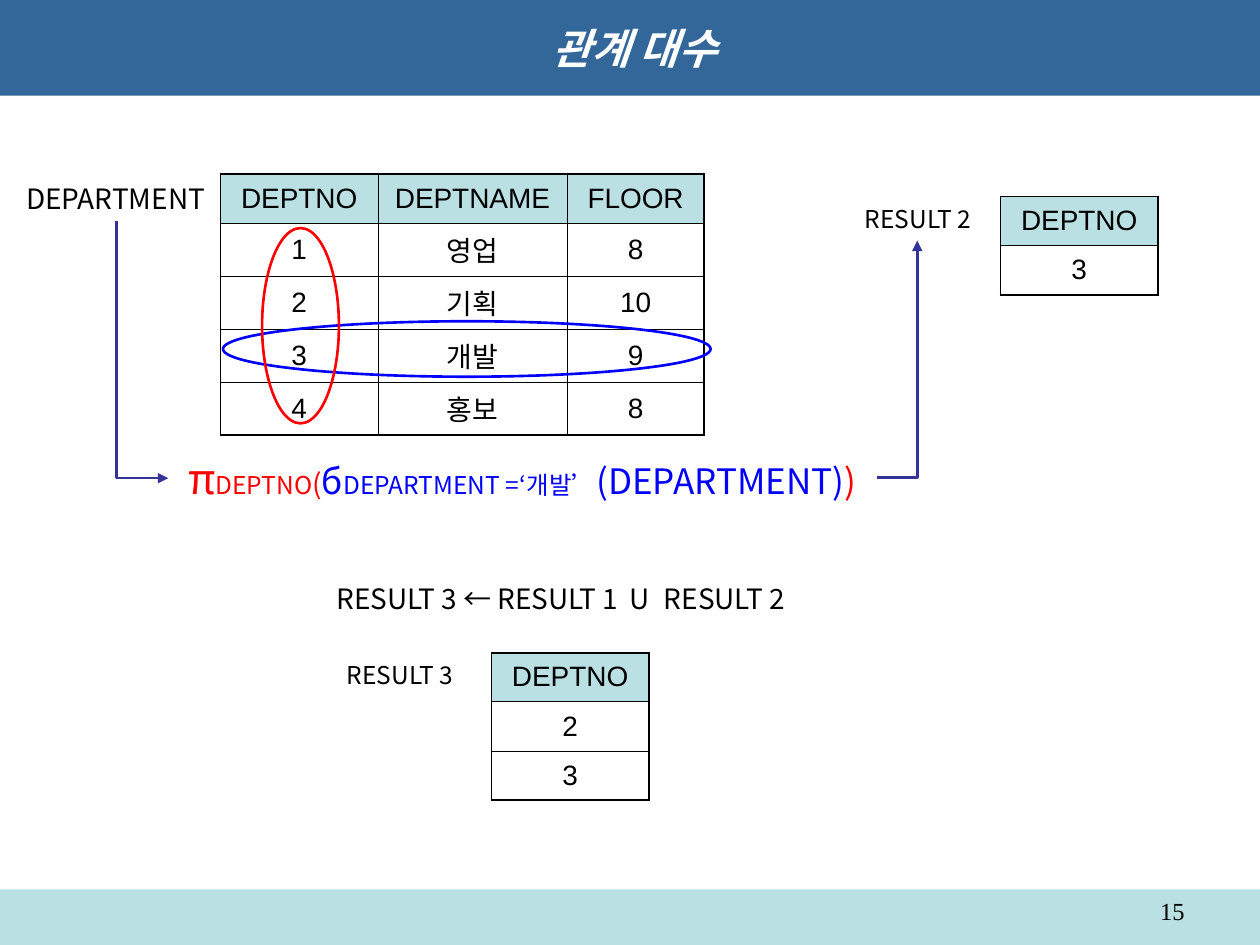
from pptx import Presentation
from pptx.dml.color import RGBColor
from pptx.enum import shapes, text
from pptx.oxml import ns
from pptx.util import Inches, Pt
from lxml import etree

WHITE = RGBColor(0xFF, 0xFF, 0xFF)
BLACK = RGBColor(0x00, 0x00, 0x00)
RED = RGBColor(0xFF, 0x00, 0x00)
BLUE = RGBColor(0x00, 0x00, 0xFF)
INDIGO = RGBColor(0x33, 0x33, 0x99)
TITLE_BLUE = RGBColor(0x33, 0x66, 0x99)
PALE_TEAL = RGBColor(0xBB, 0xE0, 0xE3)

LABEL_FONT = "Noto Sans CJK JP"
KOREAN_FONT = "Noto Sans CJK KR"
TABLE_FONT = "Arial"
ROW_HEIGHT = 0.39
OUTER_BORDER, INNER_BORDER = 1.08, 0.45
CENTER = text.PP_ALIGN.CENTER


def add_child(parent, tag, **attributes):
    return etree.SubElement(parent, ns.qn(tag), attributes)


def add_run(paragraph, words, size, font=LABEL_FONT, color=BLACK, spacing=None):
    run = paragraph.add_run()
    run.text = words
    run.font.size = Pt(size)
    run.font.name = font
    run.font.color.rgb = color
    properties = run.font._element
    add_child(properties, "a:ea", typeface=KOREAN_FONT)
    if spacing:
        properties.set("spc", str(round(spacing * 100)))
    return run


def add_text(slide, box, runs, align=CENTER, wrap=False):
    """Each run is a tuple of add_run arguments after the paragraph."""
    shape = slide.shapes.add_textbox(*map(Inches, box))
    frame = shape.text_frame
    frame.word_wrap = wrap
    paragraph = frame.paragraphs[0]
    paragraph.alignment = align
    for run in runs:
        add_run(paragraph, *run)


def set_title(slide, words):
    title = slide.shapes.title
    title.left, title.top, title.width, title.height = map(Inches, (0, 0, 10, 0.76))
    title.fill.solid()
    title.fill.fore_color.rgb = TITLE_BLUE
    title.text_frame.vertical_anchor = text.MSO_ANCHOR.MIDDLE
    paragraph = title.text_frame.paragraphs[0]
    paragraph.alignment = CENTER
    run = add_run(paragraph, words, 24, "DejaVu Sans", WHITE)
    run.font.bold = run.font.italic = True


def add_footer_band(slide):
    band = slide.shapes.add_shape(
        shapes.MSO_SHAPE.RECTANGLE, *map(Inches, (0, 7.06, 10, 0.44)))
    band.shadow.inherit = False
    band.fill.solid()
    band.fill.fore_color.rgb = PALE_TEAL
    band.line.fill.background()


def set_borders(cell, outer_sides):
    """Draw heavier lines on the sides that lie on the table's outline."""
    properties = cell._tc.get_or_add_tcPr()
    for index, side in enumerate("LRTB"):
        width = OUTER_BORDER if side in outer_sides else INNER_BORDER
        line = etree.Element(ns.qn(f"a:ln{side}"), w=str(Pt(width)))
        fill = add_child(line, "a:solidFill")
        add_child(fill, "a:srgbClr", val=str(BLACK))
        properties.insert(index, line)


def add_relation(slide, left, top, widths, rows):
    frame = slide.shapes.add_table(
        len(rows), len(widths), Inches(left), Inches(top),
        Inches(sum(widths)), Inches(ROW_HEIGHT * len(rows)))
    table = frame.table
    table.first_row = table.horz_banding = False
    for column, width in zip(table.columns, widths):
        column.width = Inches(width)
    last_row, last_column = len(rows) - 1, len(widths) - 1
    for r, row in enumerate(rows):
        table.rows[r].height = Inches(ROW_HEIGHT)
        for c, words in enumerate(row):
            cell = table.cell(r, c)
            cell.vertical_anchor = text.MSO_ANCHOR.MIDDLE
            if r == 0:
                cell.fill.solid()
                cell.fill.fore_color.rgb = PALE_TEAL
            else:
                cell.fill.background()
            edges = {"L": c == 0, "R": c == last_column,
                     "T": r == 0, "B": r == last_row}
            set_borders(cell, [side for side, outer in edges.items() if outer])
            paragraph = cell.text_frame.paragraphs[0]
            paragraph.alignment = CENTER
            add_run(paragraph, words, 16, TABLE_FONT)


def add_ring(slide, box, color):
    ring = slide.shapes.add_shape(shapes.MSO_SHAPE.OVAL, *map(Inches, box))
    ring.shadow.inherit = False
    ring.fill.background()
    ring.line.color.rgb = color
    ring.line.width = Pt(1.5)


def add_bent_arrow(slide, begin, end, rotation=0):
    """One-corner arrow; begin and end are the points before rotation."""
    connector = slide.shapes.add_connector(
        shapes.MSO_CONNECTOR.ELBOW, *map(Inches, begin + end))
    connector.line.color.rgb = INDIGO
    connector.line.width = Pt(1.5)
    add_child(connector.line._get_or_add_ln(), "a:tailEnd", type="triangle")
    properties = connector._element.spPr
    properties.find(ns.qn("a:prstGeom")).set("prst", "bentConnector2")
    properties.find(ns.qn("a:xfrm")).set("rot", str(rotation * 60000))
    add_child(properties, "a:effectLst")


def main():
    presentation = Presentation()
    presentation.slide_width = Inches(10)
    presentation.slide_height = Inches(7.5)
    slide = presentation.slides.add_slide(presentation.slide_layouts[5])

    add_footer_band(slide)
    set_title(slide, " 관계 대수")

    add_relation(slide, 1.75, 1.38, (1.25, 1.5, 1.09), [
        ("DEPTNO", "DEPTNAME", "FLOOR"),
        ("1", "영업", "8"),
        ("2", "기획", "10"),
        ("3", "개발", "9"),
        ("4", "홍보", "8"),
    ])
    add_relation(slide, 7.94, 1.56, (1.25,), [("DEPTNO",), ("3",)])
    add_relation(slide, 3.9, 5.18, (1.25,), [("DEPTNO",), ("2",), ("3",)])

    add_text(slide, (0.11, 1.39, 1.64, 0.37), [("DEPARTMENT", 16)],
             text.PP_ALIGN.LEFT)
    add_text(slide, (6.76, 1.57, 1.05, 0.34), [("RESULT 2", 14)])
    add_text(slide, (2.65, 5.19, 1.05, 0.34), [("RESULT 3", 14)])
    add_text(slide, (1.16, 3.54, 5.97, 0.5), [
        ("π", 24, KOREAN_FONT, RED),
        ("DEPTNO", 14, KOREAN_FONT, RED),
        ("(", 16, KOREAN_FONT, RED),
        ("б", 20, KOREAN_FONT, BLUE),
        ("DEPARTMENT =‘개발’", 14, KOREAN_FONT, BLUE),
        ("(DEPARTMENT)", 20, KOREAN_FONT, BLUE),
        (")", 20, KOREAN_FONT, RED),
    ])
    add_text(slide, (2.55, 4.57, 3.8, 0.37), [
        ("RESULT 3 ← RESULT 1", 16),
        (" U ", 16, LABEL_FONT, BLACK, 2.4),
        ("RESULT 2", 16),
    ])

    add_ring(slide, (1.77, 2.55, 3.87, 0.44), BLUE)
    add_ring(slide, (2.08, 1.81, 0.61, 1.55), RED)
    add_bent_arrow(slide, (2.15, 2.57), (0.11, 2.98), rotation=270)
    add_bent_arrow(slide, (6.96, 3.79), (7.28, 1.91))

    add_text(slide, (7.17, 7.06, 2.33, 0.29), [("15", 14, "Times New Roman")],
             text.PP_ALIGN.RIGHT, wrap=True)
    presentation.save("out.pptx")


if __name__ == "__main__":
    main()
